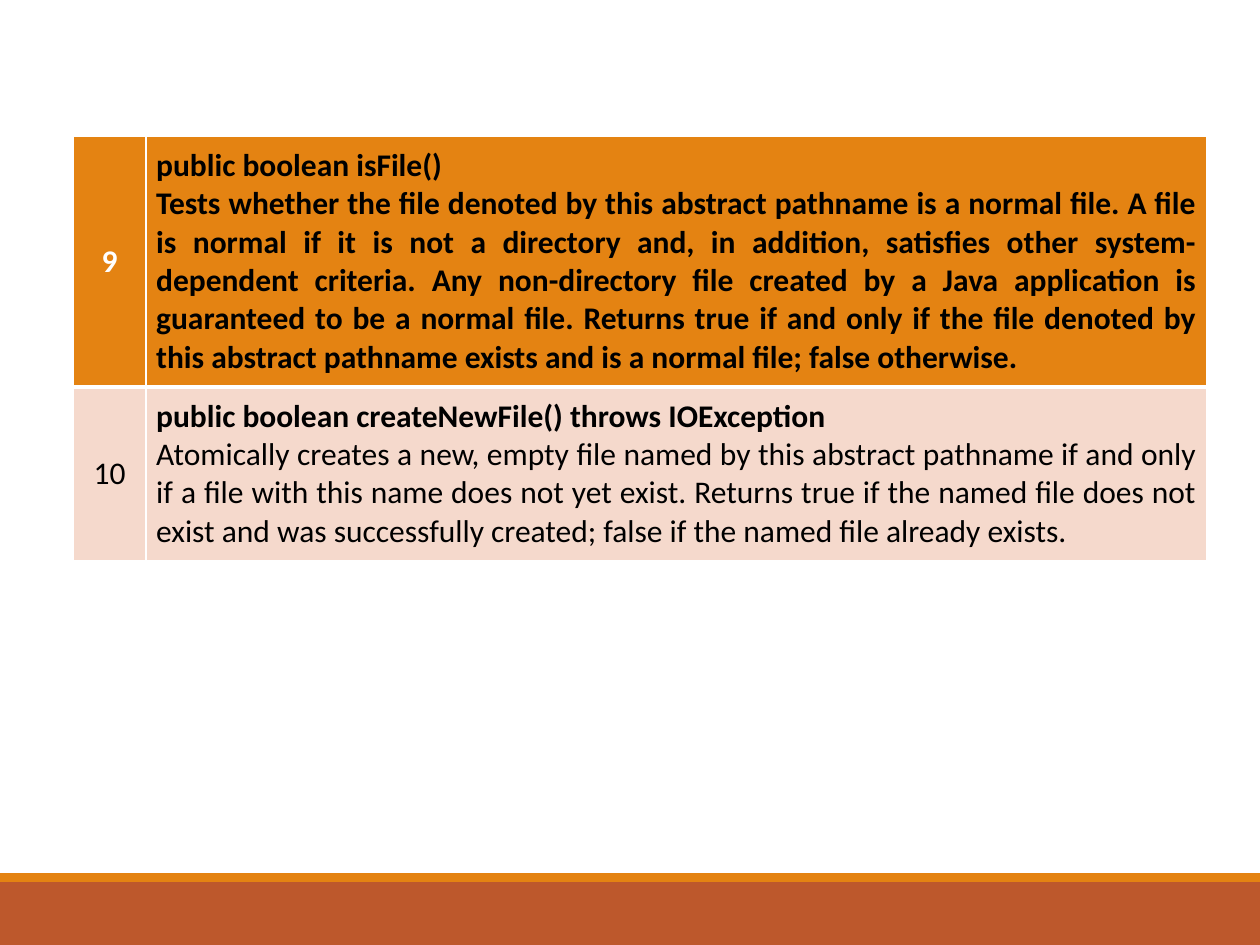
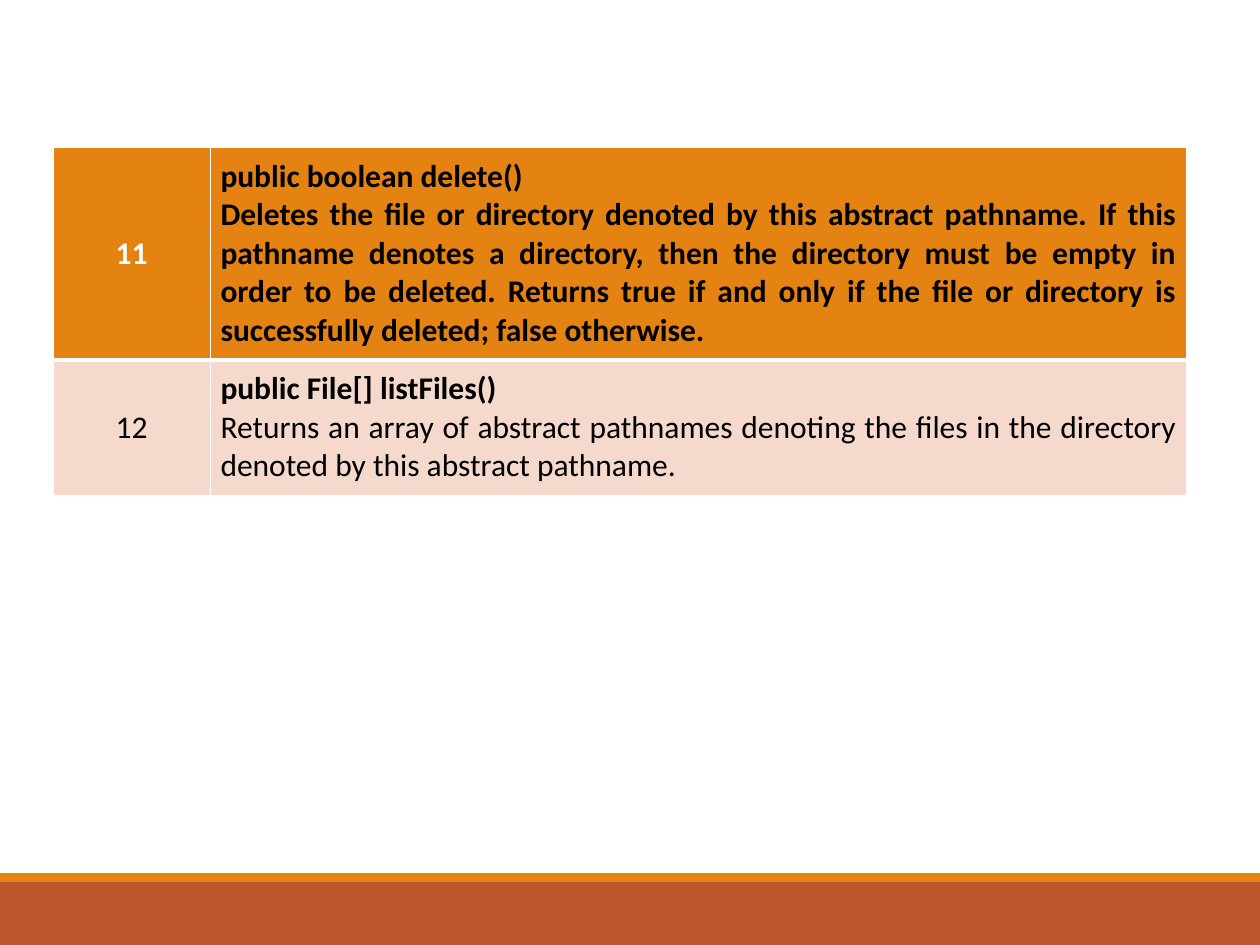
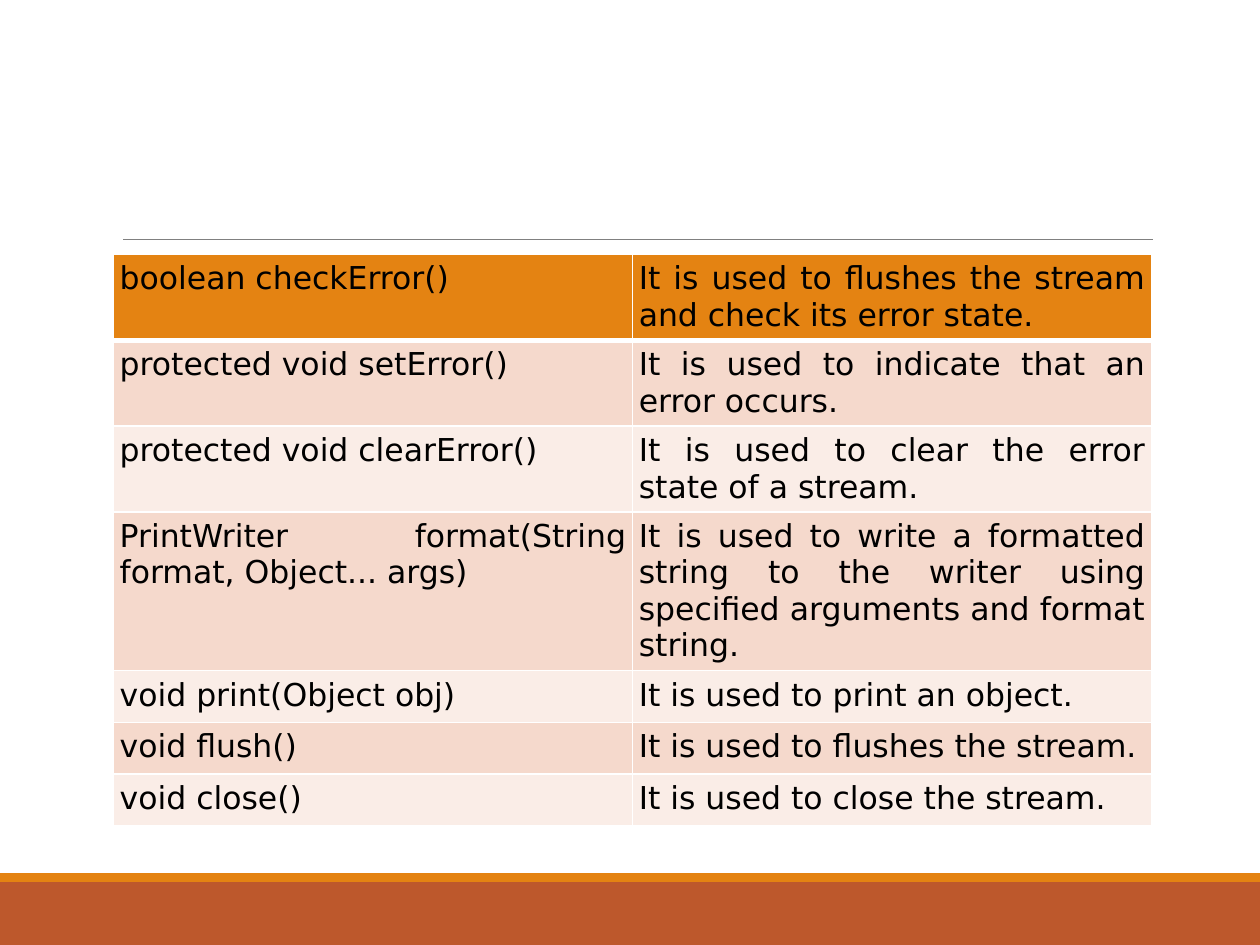
"""Build three slides of Java file and PrintWriter method tables."""
from lxml.etree import SubElement
from pptx import Presentation
from pptx.dml.color import RGBColor
from pptx.enum.shapes import MSO_CONNECTOR, MSO_SHAPE
from pptx.enum.text import MSO_ANCHOR as Anchor, PP_ALIGN as Align
from pptx.oxml.ns import qn
from pptx.util import Inches, Pt

ORANGE = RGBColor(0xE4, 0x83, 0x12)
RUST = RGBColor(0xBD, 0x58, 0x2C)
DARK_BAND = RGBColor(0xF5, 0xD9, 0xCC)
LIGHT_BAND = RGBColor(0xFA, 0xED, 0xE7)
GRAY = RGBColor(0x80, 0x80, 0x80)
WHITE = RGBColor(0xFF, 0xFF, 0xFF)
BLACK = RGBColor(0, 0, 0)

ROW_HEIGHT = Inches(0.41)
FOOTER_BANDS = [(7, 0.5, RUST), (6.93, 0.07, ORANGE)]

NUMBERED_TABLES = [
    ((0.58, 1.08, 3.33), (0.58, 8.42), [
        ("9", "public boolean isFile()",
         "Tests whether the file denoted by this abstract pathname is a normal file. "
         "A file is normal if it is not a directory and, in addition, satisfies other "
         "system-dependent criteria. Any non-directory file created by a Java application "
         "is guaranteed to be a normal file. Returns true if and only if the file denoted "
         "by this abstract pathname exists and is a normal file; false otherwise."),
        ("10", "public boolean createNewFile() throws IOException",
         "Atomically creates a new, empty file named by this abstract pathname if and only "
         "if a file with this name does not yet exist. Returns true if the named file does "
         "not exist and was successfully created; false if the named file already exists."),
    ]),
    ((0.42, 1.17, 2.73), (1.25, 7.75), [
        ("11", "public boolean delete()",
         "Deletes the file or directory denoted by this abstract pathname. If this pathname "
         "denotes a directory, then the directory must be empty in order to be deleted. "
         "Returns true if and only if the file or directory is successfully deleted; "
         "false otherwise."),
        ("12", "public File[] listFiles()",
         "Returns an array of abstract pathnames denoting the files in the directory "
         "denoted by this abstract pathname."),
    ]),
]

WRITER_TABLE = ((0.9, 2.02, 4.4), (4.12, 4.12), [
    ("boolean checkError()", "It is used to flushes the stream and check its error state."),
    ("protected void setError()", "It is used to indicate that an error occurs."),
    ("protected void clearError()", "It is used to clear the error state of a stream."),
    ("PrintWriter format(String format, Object... args)",
     "It is used to write a formatted string to the writer using specified arguments "
     "and format string."),
    ("void print(Object obj)", "It is used to print an object."),
    ("void flush()", "It is used to flushes the stream."),
    ("void close()", "It is used to close the stream."),
])


def decorate_master(presentation, slide):
    """Draw the footer bands and title rule, then move them to the master."""
    decorations = []
    for top, height, color in FOOTER_BANDS:
        band = slide.shapes.add_shape(MSO_SHAPE.RECTANGLE, 0, Inches(top),
                                      presentation.slide_width, Inches(height))
        band.shadow.inherit = False
        band.fill.solid()
        band.fill.fore_color.rgb = color
        band.line.fill.background()
        decorations.append(band)
    rule = slide.shapes.add_connector(MSO_CONNECTOR.STRAIGHT, Inches(0.98), Inches(1.9),
                                      Inches(9.15), Inches(1.9))
    rule.line.color.rgb = GRAY
    rule.line.width = Pt(0.5)
    SubElement(rule._element.spPr, qn("a:effectLst"))
    decorations.append(rule)
    for number, shape in enumerate(decorations, 101):
        shape._element.xpath(".//p:cNvPr")[0].set("id", str(number))
        presentation.slide_master.shapes._spTree.append(shape._element)


def set_borders(cell, row):
    """Give a cell white borders, thick between the header and the body."""
    thick_edge = {0: "B", 1: "T"}.get(row)
    for edge in "LRTB":
        width = Pt(3 if edge == thick_edge else 1)
        line = SubElement(cell._tc.get_or_add_tcPr(), qn(f"a:ln{edge}"), w=str(width))
        fill = SubElement(line, qn("a:solidFill"))
        SubElement(fill, qn("a:srgbClr"), val=str(WHITE))


def fill_cell(cell, row, paragraphs, inset):
    """Write (text, alignment, colour, bold) paragraphs into a styled cell."""
    set_borders(cell, row)
    cell.fill.solid()
    cell.fill.fore_color.rgb = (ORANGE if row == 0 else DARK_BAND if row % 2 else LIGHT_BAND)
    cell.margin_left = cell.margin_right = Inches(inset)
    cell.margin_top = cell.margin_bottom = Inches(inset)
    cell.text = "\n".join(text for text, *_ in paragraphs)
    for paragraph, (_, alignment, color, bold) in zip(cell.text_frame.paragraphs, paragraphs):
        paragraph.alignment = alignment
        paragraph.font.color.rgb = color
        paragraph.font.bold = bold


def add_method_table(slide, place, widths, rows, font_name, inset):
    """Add a table whose cells are lists of styled paragraphs."""
    left, top, height = map(Inches, place)
    frame = slide.shapes.add_table(len(rows), len(widths), left, top,
                                   Inches(sum(widths)), height)
    table = frame.table
    table.first_row = table.horz_banding = False
    for column, width in zip(table.columns, widths):
        column.width = Inches(width)
    for row, cells in enumerate(rows):
        table.rows[row].height = ROW_HEIGHT
        for column, paragraphs in enumerate(cells):
            cell = table.cell(row, column)
            fill_cell(cell, row, paragraphs, inset)
            for paragraph in cell.text_frame.paragraphs:
                paragraph.font.name = font_name
                paragraph.font.size = Pt(18)
    frame.height = height
    return table


def add_numbered_table(slide, place, widths, methods):
    """Add a table of numbered methods with bold signatures."""
    rows = []
    for row, (number, signature, description) in enumerate(methods):
        header = row == 0
        rows.append((
            [(number, Align.CENTER, WHITE if header else BLACK, header)],
            [(signature, Align.JUSTIFY, BLACK, True),
             (description, Align.JUSTIFY, BLACK, header)],
        ))
    table = add_method_table(slide, place, widths, rows, "Calibri", 0.08)
    for row in range(len(rows)):
        table.cell(row, 0).vertical_anchor = Anchor.MIDDLE


def add_writer_table(slide, place, widths, methods):
    """Add a table of signatures beside their descriptions."""
    rows = [[[(text, Align.JUSTIFY, BLACK, False)] for text in method] for method in methods]
    add_method_table(slide, place, widths, rows, "DejaVu Sans", 0.05)


def main():
    """Build and save the presentation."""
    presentation = Presentation()
    presentation.slide_width, presentation.slide_height = Inches(10), Inches(7.5)
    blank = presentation.slide_layouts[6]
    slides = [presentation.slides.add_slide(blank) for _ in range(3)]
    decorate_master(presentation, slides[0])
    for slide, content in zip(slides, NUMBERED_TABLES):
        add_numbered_table(slide, *content)
    add_writer_table(slides[2], *WRITER_TABLE)
    presentation.save("out.pptx")


if __name__ == "__main__":
    main()
